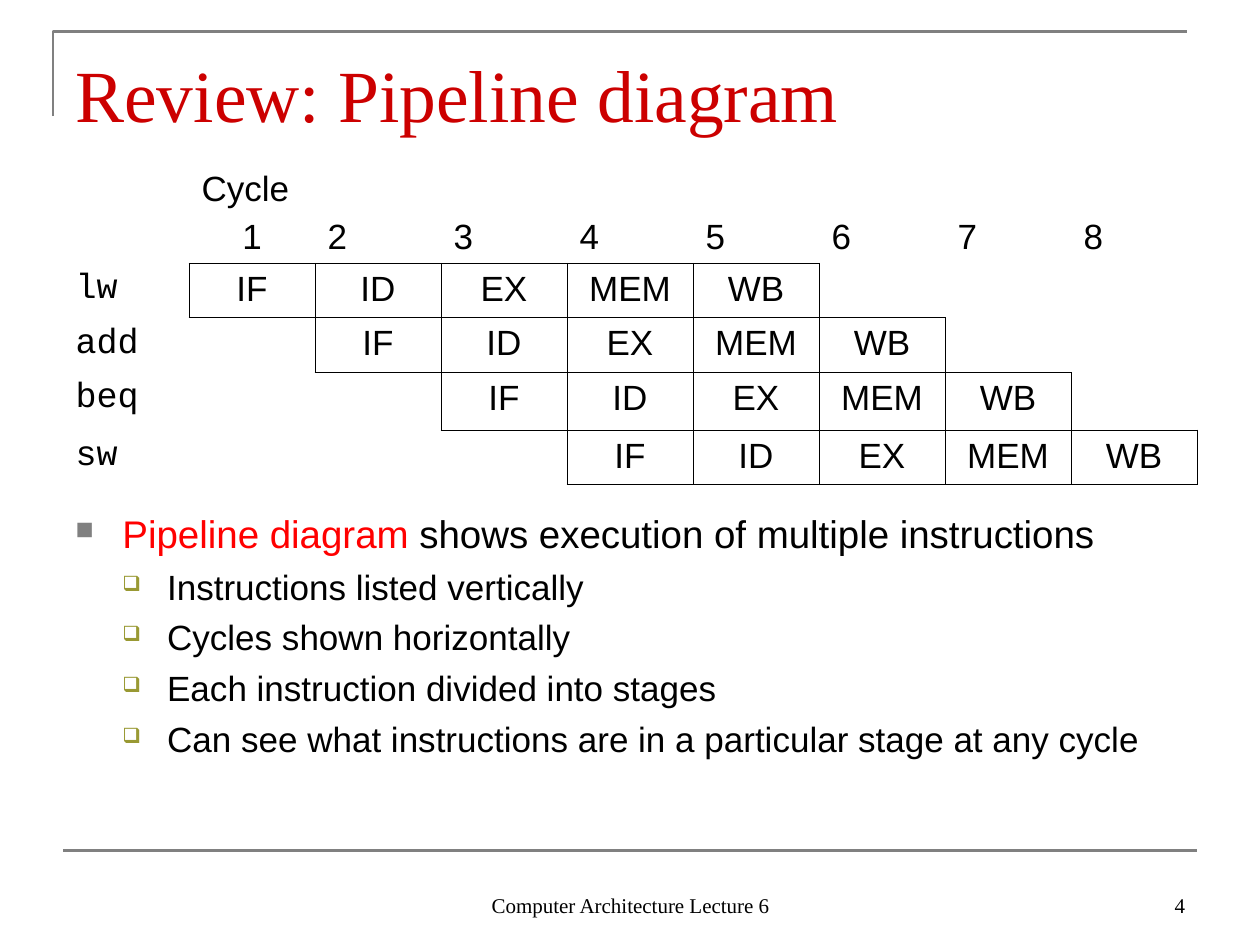
from lxml import etree
from pptx import Presentation, util as u
from pptx.dml import color
from pptx.enum import shapes, text
from pptx.oxml import ns, parse_xml

A = ns.nsdecls("a")
GREY, BLACK = "808080", "000000"


def rgb(value):
    return color.RGBColor.from_string(value)


def write(para, words, size, face, ink=BLACK, align=text.PP_ALIGN.LEFT, before=0):
    para.alignment = align
    para.space_before = u.Pt(before)
    para.font.size = u.Pt(size)
    para.font.name = face
    para.font.color.rgb = rgb(ink)
    span = para.add_run()
    span.text = words
    return span


deck = Presentation()
deck.slide_width, deck.slide_height = u.Cm(25.4), u.Cm(19.05)
page = deck.slides.add_slide(deck.slide_layouts[6])

# Frame: corner rule at the top, straight rule at the bottom
corner = page.shapes.build_freeform(u.Cm(1.07), u.Cm(2.34))
corner.add_line_segments(
    [(u.Cm(1.07), u.Cm(0.64)), (u.Cm(23.93), u.Cm(0.64))], close=False)
top_rule = corner.convert_to_shape()
top_rule.shadow.inherit = False
top_rule.fill.background()
bottom_rule = page.shapes.add_connector(
    shapes.MSO_CONNECTOR.STRAIGHT, u.Cm(1.27), u.Cm(17.15), u.Cm(24.13), u.Cm(17.15))
etree.SubElement(bottom_rule._element.spPr, ns.qn("a:effectLst"))
for rule in (top_rule, bottom_rule):
    rule.line.color.rgb = rgb(GREY)
    rule.line.width = u.Pt(1.5)

# Title, footer and page number
for words, left, top, width, height, size, ink, align in (
    ("Review: Pipeline diagram", 1.27, 0.76, 22.86, 2, 42, "CC0000", text.PP_ALIGN.LEFT),
    ("Computer Architecture Lecture 6", 8.69, 17.35, 8.05, 1.27, 12, BLACK,
     text.PP_ALIGN.CENTER),
    ("4", 18.21, 17.35, 5.93, 1.27, 12, BLACK, text.PP_ALIGN.RIGHT),
):
    box = page.shapes.add_textbox(u.Cm(left), u.Cm(top), u.Cm(width), u.Cm(height))
    frame = box.text_frame
    frame.word_wrap = True
    frame.vertical_anchor = text.MSO_ANCHOR.BOTTOM
    if size == 42:
        frame.margin_bottom = 0
    write(frame.paragraphs[0], words, size, "Times New Roman", ink, align)

# Pipeline table, without style or grid
instructions = ["lw", "add", "beq", "sw"]
stages = ["IF", "ID", "EX", "MEM", "WB"]
row_heights = [2.11, 1.1, 1.09, 1.16, 1.1]
holder = page.shapes.add_table(
    5, 9, u.Cm(1.27), u.Cm(3.18), u.Cm(22.86), u.Cm(sum(row_heights)))
table = holder.table
table.first_row = table.horz_banding = False
table._tbl.tblPr.find(ns.qn("a:tableStyleId")).text = (
    "{2D5ABB26-0587-4C30-8999-92F81FD0307C}")
for column in table.columns:
    column.width = u.Cm(2.54)
for row, height in zip(table.rows, row_heights):
    row.height = u.Cm(height)
for cell in table.iter_cells():
    cell.fill.background()

# Cycle numbers
for cycle in range(1, 9):
    cell = table.cell(0, cycle)
    cell.vertical_anchor = text.MSO_ANCHOR.BOTTOM
    para = cell.text_frame.paragraphs[0]
    if cycle == 1:
        write(para, "Cycle", 20, "Arial")
        write(cell.text_frame.add_paragraph(), "1", 20, "Arial",
              align=text.PP_ALIGN.CENTER, before=5)
    else:
        write(para, str(cycle), 20, "Arial")

# Each instruction starts one cycle after the one above
for row, instruction in enumerate(instructions, 1):
    write(table.cell(row, 0).text_frame.paragraphs[0], instruction, 20, "Courier New")
    for column, stage in enumerate(stages, row):
        cell = table.cell(row, column)
        write(cell.text_frame.paragraphs[0], stage, 20, "Arial",
              align=text.PP_ALIGN.CENTER)
        for place, side in enumerate(("lnL", "lnR", "lnT", "lnB")):
            cell._tc.get_or_add_tcPr().insert(place, parse_xml(
                f'<a:{side} {A} w="5715"><a:solidFill><a:srgbClr val="{BLACK}"/>'
                f'</a:solidFill></a:{side}>'))

# Bulleted notes
notes = [
    (0, "Pipeline diagram"),
    (1, "Instructions listed vertically"),
    (1, "Cycles shown horizontally"),
    (1, "Each instruction divided into stages"),
    (1, "Can see what instructions are in a particular stage at any cycle"),
]
# mark, mark colour, mark size in percent, left margin, hanging indent, text size
levels = [("■", GREY, 65, 0.95, 0.95, 22), ("❑", "999933", 60, 1.85, 0.9, 20)]
box = page.shapes.add_textbox(u.Cm(1.27), u.Cm(10.16), u.Cm(22.86), u.Cm(6.86))
frame = box.text_frame
frame.word_wrap = True
for number, (level, words) in enumerate(notes):
    mark, mark_ink, percent, margin, hanging, size = levels[level]
    para = frame.add_paragraph() if number else frame.paragraphs[0]
    para.level = level
    props = para._p.get_or_add_pPr()
    props.set("marL", str(u.Cm(margin)))
    props.set("indent", str(-u.Cm(hanging)))
    for bullet in (f'<a:buClr {A}><a:srgbClr val="{mark_ink}"/></a:buClr>',
                   f'<a:buSzPct {A} val="{percent * 1000}"/>',
                   f'<a:buChar {A} char="{mark}"/>'):
        props.append(parse_xml(bullet))
    span = write(para, words, size, "Arial", before=5 if number else 0)
    if number == 0:
        span.font.color.rgb = rgb("FF0000")
        para.add_run().text = " shows execution of multiple instructions"

deck.save("out.pptx")
